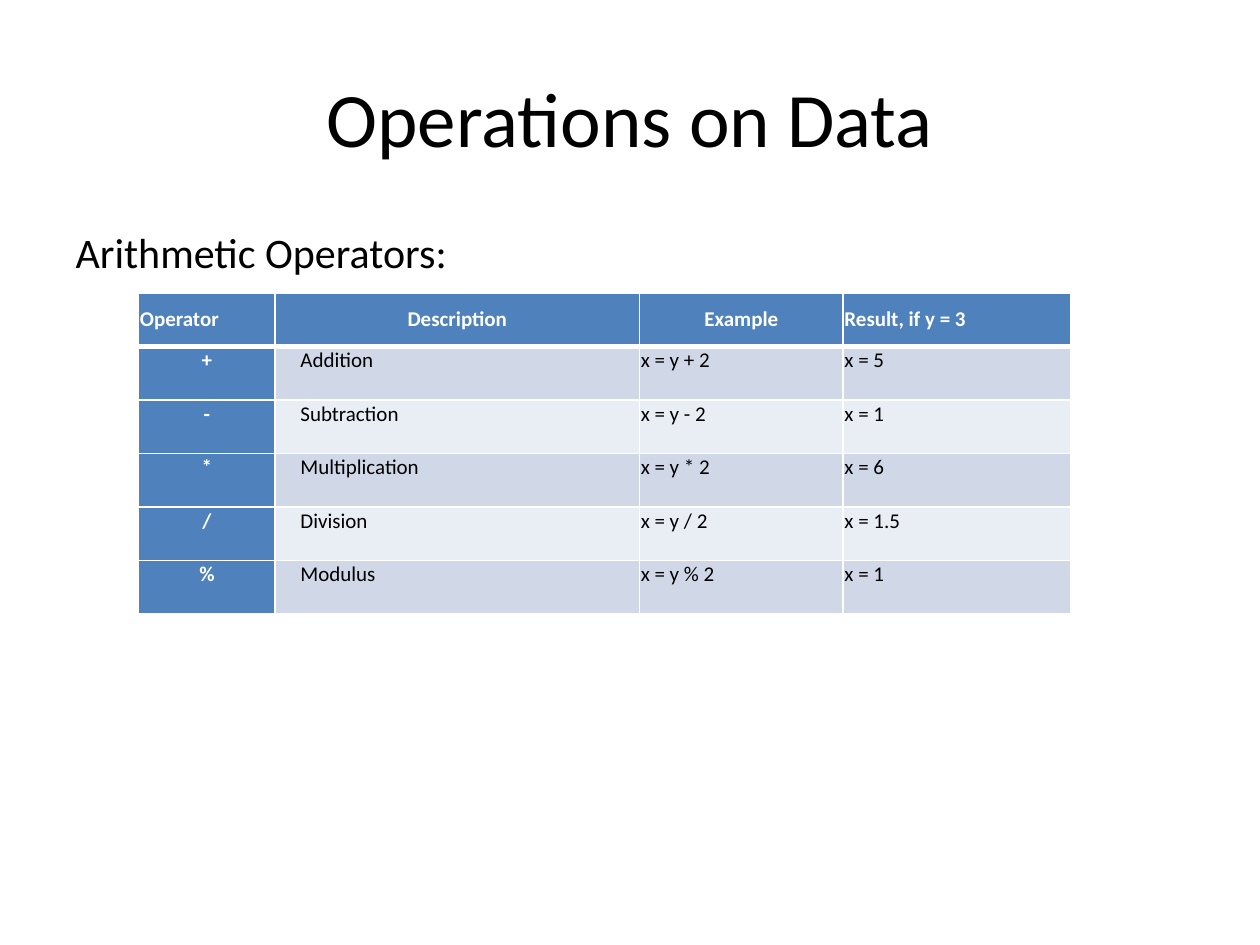
from lxml import etree
from pptx import Presentation
from pptx.dml.color import RGBColor
from pptx.enum.text import MSO_ANCHOR, PP_ALIGN
from pptx.oxml.ns import qn
from pptx.util import Inches, Pt

LEFT, MID = PP_ALIGN.LEFT, PP_ALIGN.CENTER
TOP, CENTER = MSO_ANCHOR.TOP, MSO_ANCHOR.MIDDLE

HUES = {
    "ink": "000000",
    "paper": "FFFFFF",
    "head": "4F81BD",
    "odd": "D0D8E8",
    "even": "E9EDF4",
}
HEADS = ["Operator", "Description", "Example", "Result, if y = 3"]
OPS = [
    ("+", "Addition", "5"),
    ("-", "Subtraction", "1"),
    ("*", "Multiplication", "6"),
    ("/", "Division", "1.5"),
    ("%", "Modulus", "1"),
]
COLS = [1.08, 2.88, 1.61, 1.8]
PAD, INDENT = 0.01, 0.2


def write(frame, text, size=12, hue="ink", bold=False, align=LEFT, anchor=TOP):
    frame.vertical_anchor = anchor
    para = frame.paragraphs[0]
    para.alignment = align
    run = para.add_run()
    run.text = text
    font = run.font
    font.name, font.size, font.bold = "Calibri", Pt(size), bold
    font.color.rgb = RGBColor.from_string(HUES[hue])
    return para


class Deck:
    def __init__(self, width, height):
        self.file = Presentation()
        self.file.slide_width = Inches(width)
        self.file.slide_height = Inches(height)
        self.wide, self.high = self.file.slide_width, self.file.slide_height
        self.slide = self.file.slides.add_slide(self.file.slide_layouts[1])

    def area(self, left, top, width, height):
        return (int(left * self.wide), int(top * self.high),
                int(width * self.wide), int(height * self.high))

    def place(self, index, box):
        shape = self.slide.placeholders[index]
        shape.left, shape.top, shape.width, shape.height = self.area(*box)
        return shape.text_frame

    def title(self, text, box):
        write(self.place(0, box), text, size=44, align=MID, anchor=CENTER)

    def body(self, text, box):
        para = write(self.place(1, box), text, size=24)
        props = para._p.get_or_add_pPr()
        props.set("marL", "0")
        props.set("indent", "0")
        etree.SubElement(props, qn("a:buNone"))

    def edge(self, cell, base):
        props = cell._tc.get_or_add_tcPr()
        for spot, side in enumerate("LRTB"):
            points = base if side == "B" else 1
            line = etree.Element(qn("a:ln" + side), w=str(Pt(points)))
            fill = etree.SubElement(line, qn("a:solidFill"))
            etree.SubElement(fill, qn("a:srgbClr"), val=HUES["paper"])
            props.insert(spot, line)

    def cell(self, cell, text, fill, indent=PAD, base=1, **form):
        cell.margin_left = Inches(indent)
        cell.margin_right = cell.margin_top = cell.margin_bottom = Inches(PAD)
        anchor = form.pop("anchor", TOP)
        cell.vertical_anchor = anchor
        write(cell.text_frame, text, **form)
        cell.fill.solid()
        cell.fill.fore_color.rgb = RGBColor.from_string(HUES[fill])
        self.edge(cell, base)

    def table(self, rows, box):
        area = self.area(*box)
        table = self.slide.shapes.add_table(len(rows), len(COLS), *area).table
        for col, width in zip(table.columns, COLS):
            col.width = int(area[2] * width / sum(COLS))
        for r, row in enumerate(rows):
            for c, text in enumerate(row):
                dark = r == 0 or c == 0
                side = MID if (c in (1, 2) if r == 0 else c == 0) else LEFT
                self.cell(
                    table.cell(r, c), text,
                    fill="head" if dark else "odd" if r % 2 else "even",
                    indent=INDENT if r and c == 1 else PAD,
                    base=1 if r else 3,
                    hue="paper" if dark else "ink",
                    bold=dark, align=side,
                    anchor=TOP if r else CENTER,
                )


def main():
    deck = Deck(10, 7.5)
    deck.title("Operations on Data", (0.05, 0.04, 0.9, 1 / 6))
    deck.body("Arithmetic Operators:", (0.05, 0.7 / 3, 0.9, 0.66))
    rows = [HEADS] + [
        (sign, name, f"x = y {sign} 2", f"x = {value}")
        for sign, name, value in OPS
    ]
    deck.table(rows, (0.11, 0.31, 0.74, 0.34))
    deck.file.save("out.pptx")


if __name__ == "__main__":
    main()
